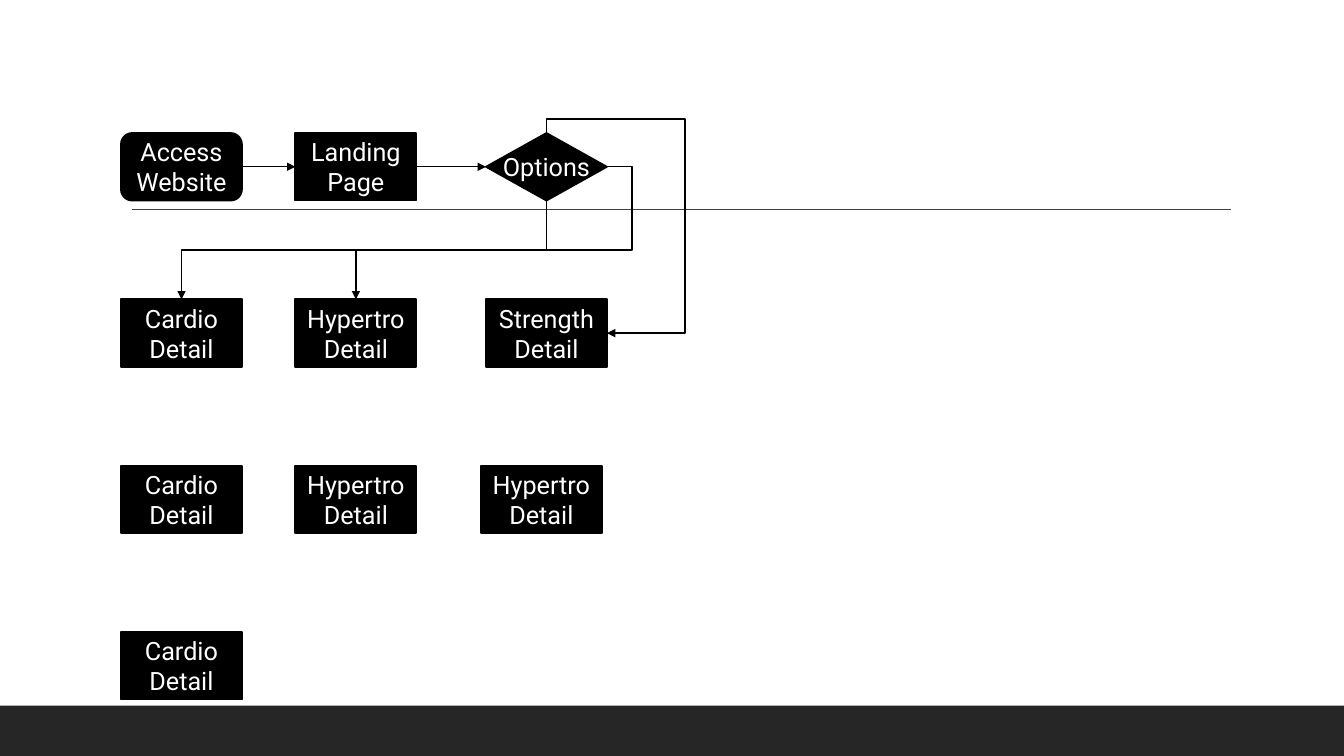
import pptx
import pptx.dml.color
import pptx.enum.shapes
import pptx.enum.text
import pptx.oxml
import pptx.oxml.ns
import pptx.util
from pptx.util import Inches, Pt

MSO = pptx.enum.shapes.MSO_SHAPE
CONN = pptx.enum.shapes.MSO_CONNECTOR
TOP, LEFT, BOTTOM, RIGHT = range(4)

COLUMNS = [1.2, 2.93, 4.82]
FIRST_ROW, ROW_STEP = 1.32, 1.65
BOX_W, BOX_H = 1.2, 0.67

# name: (text, shape, column, row, shift to the right)
STEPS = {
    "access": ("Access Website", MSO.ROUNDED_RECTANGLE, 0, 0, 0),
    "landing": ("Landing Page", MSO.RECTANGLE, 1, 0, 0),
    "options": ("Options", MSO.DIAMOND, 2, 0, 0),
    "strength": ("Strength\nDetail", MSO.RECTANGLE, 2, 1, 0),
    "cardio": ("Cardio Detail", MSO.RECTANGLE, 0, 1, 0),
    "hypertro": ("Hypertro\nDetail", MSO.RECTANGLE, 1, 1, 0),
    "cardio 3": ("Cardio Detail", MSO.RECTANGLE, 0, 3, 0),
    "cardio 2": ("Cardio Detail", MSO.RECTANGLE, 0, 2, 0),
    "hypertro 2": ("Hypertro\nDetail", MSO.RECTANGLE, 1, 2, 0),
    "hypertro 3": ("Hypertro\nDetail", MSO.RECTANGLE, 2, 2, -0.05),
}

# from, side, to, side, rotation, mirrored, bend adjustments
ARROWS = [
    ("access", RIGHT, "landing", LEFT, 0, False, []),
    ("landing", RIGHT, "options", LEFT, 0, False, []),
    ("options", TOP, "strength", RIGHT, 270, True, [-7000, 228900]),
    ("options", RIGHT, "hypertro", TOP, 0, True, [-10000, 62700]),
    ("options", BOTTOM, "cardio", TOP, 90, False, []),
]

FONT = {"name": "Roboto", "size": Pt(18)}


def rgb(value):
    return pptx.dml.color.RGBColor.from_string(value)


def add_box(slide, kind, x, y, w, h, fill):
    s = slide.shapes.add_shape(kind, Inches(x), Inches(y), Inches(w), Inches(h))
    s.shadow.inherit = False
    s.fill.solid()
    s.fill.fore_color.rgb = rgb(fill)
    return s


def add_step(slide, text, kind, column, row, shift):
    x, y = COLUMNS[column] + shift, FIRST_ROW + row * ROW_STEP
    s = add_box(slide, kind, x, y, BOX_W, BOX_H, "000000")
    s.line.color.rgb = rgb("000000")
    s.line.width = Pt(1.25)
    tf = s.text_frame
    tf.text = text
    tf.vertical_anchor = pptx.enum.text.MSO_ANCHOR.MIDDLE
    tf.word_wrap = kind != MSO.DIAMOND
    if kind == MSO.DIAMOND:
        for side in ("left", "top", "right", "bottom"):
            setattr(tf, f"margin_{side}", 0)
    for p in tf.paragraphs:
        p.alignment = pptx.enum.text.PP_ALIGN.CENTER
        for r in p.runs:
            for key, value in FONT.items():
                setattr(r.font, key, value)
            r.font.color.rgb = rgb("FFFFFF")
    return s


def style_line(c, color):
    c.line.color.rgb = rgb(color)
    c.line.width = Pt(1)
    pptx.oxml.ns.qn("a:effectLst")
    c._element.spPr.append(pptx.oxml.parse_xml(
        f"<a:effectLst {pptx.oxml.ns.nsdecls('a')}/>"))


def bend(c, rotation, mirrored, adjustments):
    """Turn and mirror an elbow about its centre and place its bends."""
    if rotation in (90, 270):
        x, y, w, h = c.left, c.top, c.width, c.height
        c.left, c.top = x + (w - h) // 2, y + (h - w) // 2
        c.width, c.height = h, w
    xfrm = c._element.spPr.find(pptx.oxml.ns.qn("a:xfrm"))
    for key, value in {"rot": rotation * 60000, "flipH": int(mirrored),
                       "flipV": 0}.items():
        xfrm.set(key, str(value))
    if adjustments:
        geom = c._element.spPr.find(pptx.oxml.ns.qn("a:prstGeom"))
        geom.set("prst", "bentConnector4")
        guides = geom.find(pptx.oxml.ns.qn("a:avLst"))
        for n, value in enumerate(adjustments, 1):
            guides.append(pptx.oxml.parse_xml(
                f'<a:gd {pptx.oxml.ns.nsdecls("a")} name="adj{n}" fmla="val {value}"/>'))


def add_arrow(slide, start, start_side, end, end_side, *route):
    c = slide.shapes.add_connector(CONN.ELBOW, 0, 0, 0, 0)
    c.begin_connect(start, start_side)
    c.end_connect(end, end_side)
    bend(c, *route)
    style_line(c, "000000")
    c.line._get_or_add_ln().append(pptx.oxml.parse_xml(
        f'<a:tailEnd {pptx.oxml.ns.nsdecls("a")} type="triangle"/>'))


def main():
    prs = pptx.Presentation()
    prs.slide_width, prs.slide_height = Inches(13.33), Inches(7.5)
    slide = prs.slides.add_slide(prs.slide_layouts[6])

    footer = add_box(slide, MSO.RECTANGLE, 0, 7, 13.33, 0.5, "262626")
    footer.line.fill.background()
    rule = slide.shapes.add_connector(
        CONN.STRAIGHT, Inches(1.31), Inches(2.08), Inches(12.21), Inches(2.08))
    style_line(rule, "404040")

    steps = {name: add_step(slide, *step) for name, step in STEPS.items()}
    for start, start_side, end, end_side, *route in ARROWS:
        add_arrow(slide, steps[start], start_side, steps[end], end_side, *route)
    prs.save("out.pptx")


if __name__ == "__main__":
    main()
